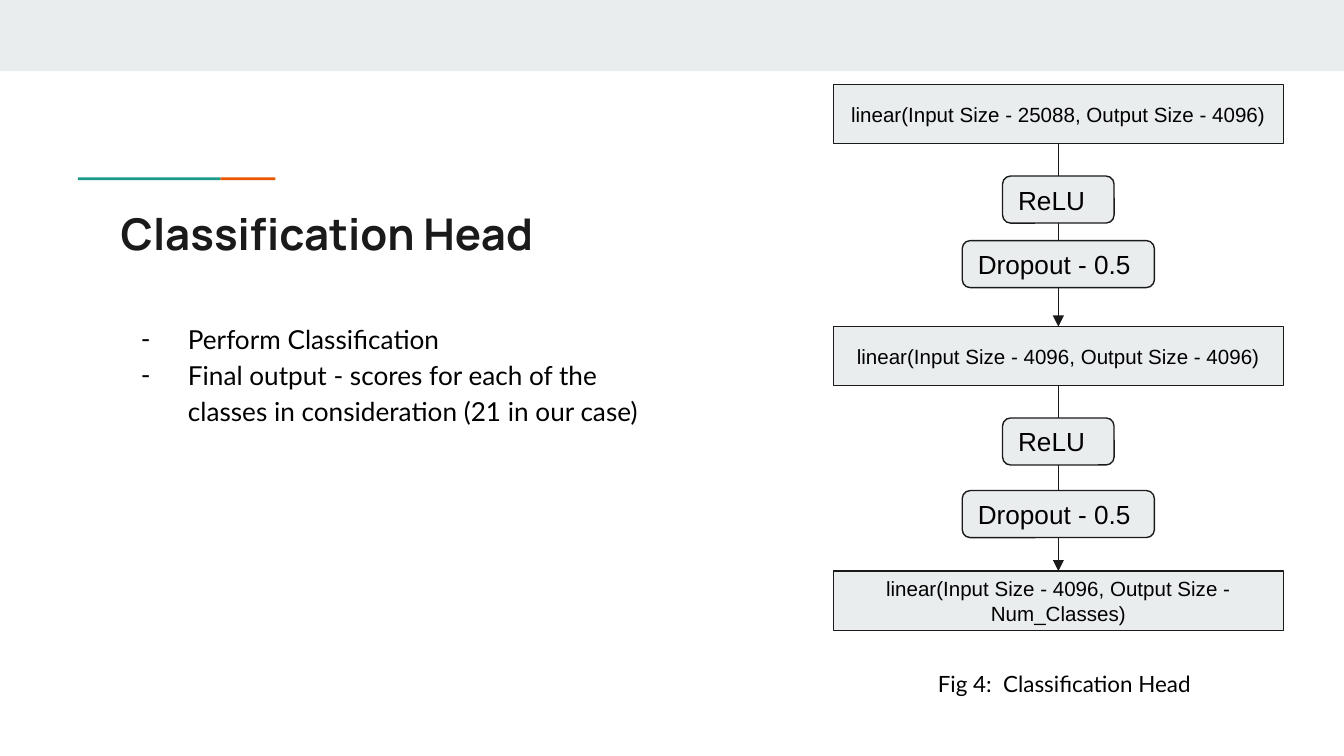
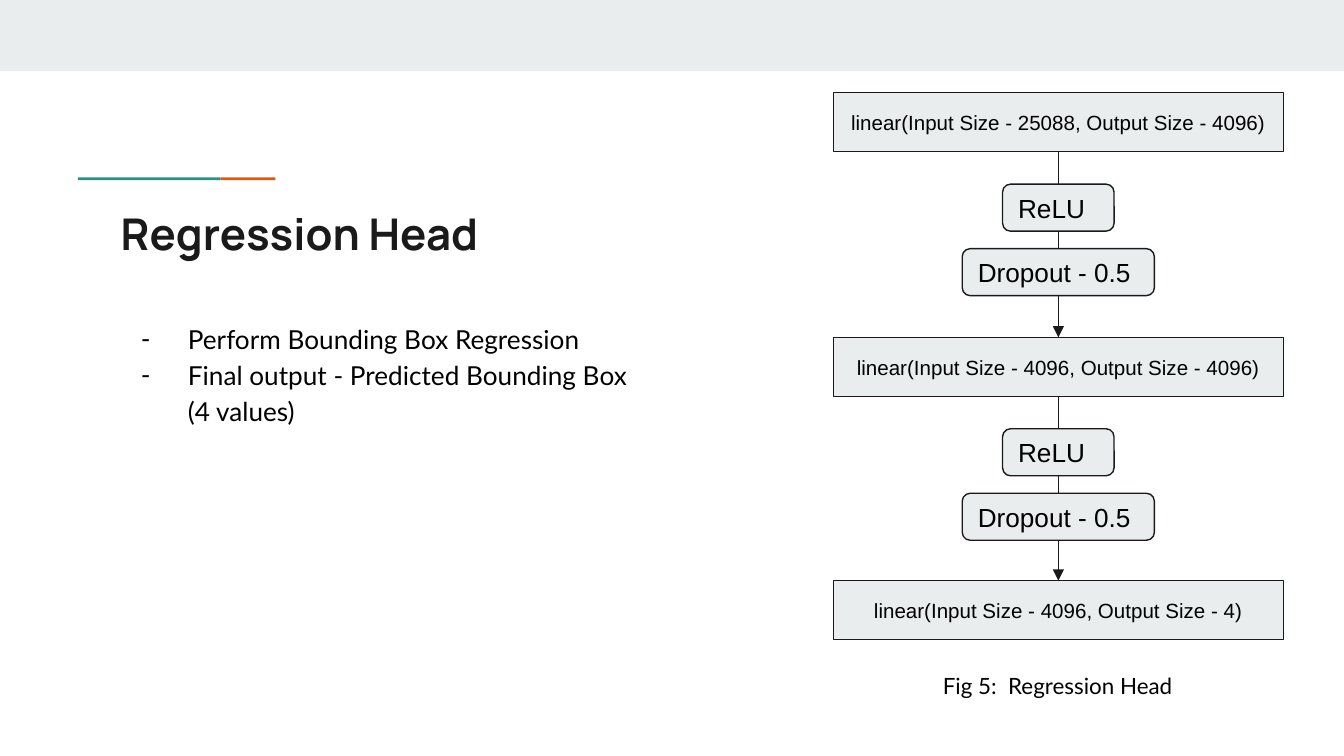
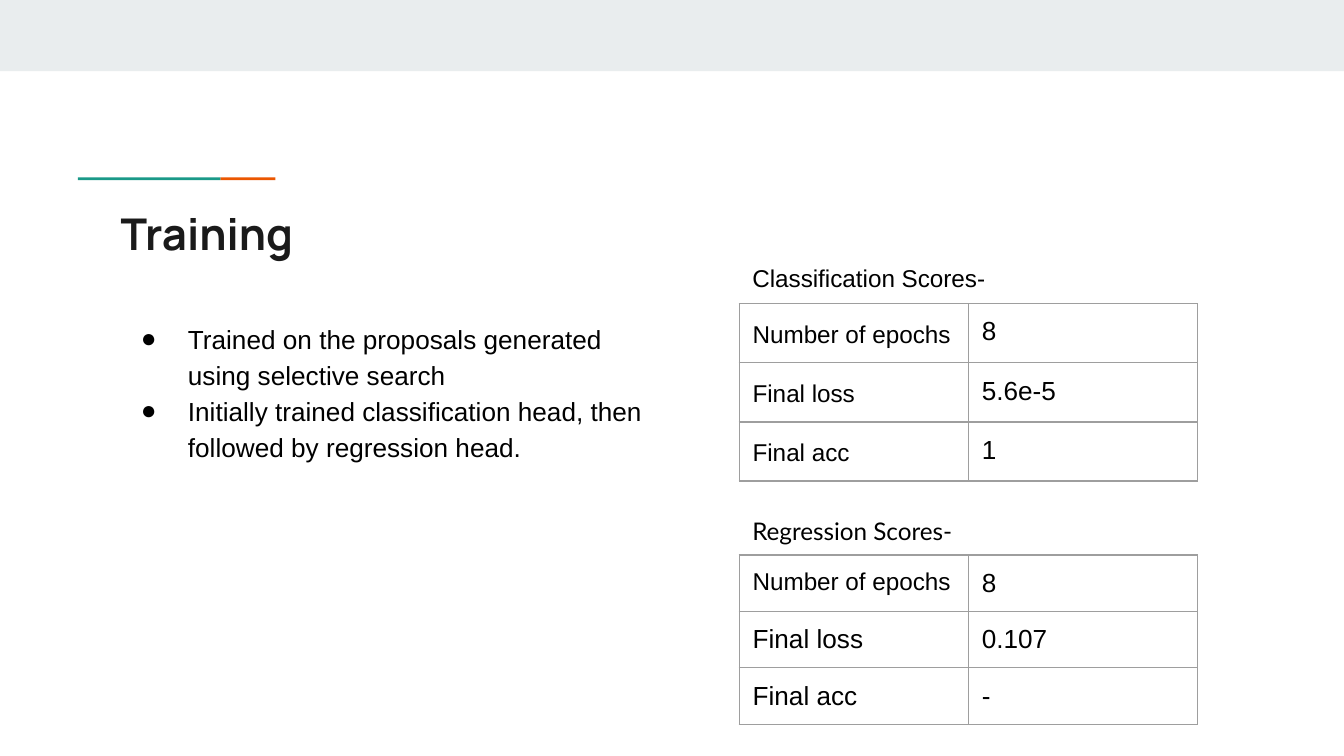
from lxml.etree import SubElement
from pptx import Presentation
from pptx.dml.color import RGBColor
from pptx.enum.shapes import MSO_CONNECTOR, MSO_SHAPE
from pptx.enum.text import MSO_ANCHOR, PP_ALIGN
from pptx.oxml.ns import qn
from pptx.util import Inches, Pt

COLORS = {
    "band": "E9EDEE",
    "teal": "1A9988",
    "orange": "EB5600",
    "ink": "1A1A1A",
    "text": "000000",
    "grid": "9E9E9E",
}


def rgb(name):
    """Return the named colour."""
    return RGBColor.from_string(COLORS[name])


def add_bullet(p, char, font):
    """Give a paragraph a hanging bullet."""
    pPr = p._p.get_or_add_pPr()
    pPr.set("marL", str(Inches(0.5)))
    pPr.set("indent", str(Inches(-0.35)))
    clr = SubElement(pPr, qn("a:buClr"))
    SubElement(clr, qn("a:srgbClr"), val=COLORS["text"])
    SubElement(pPr, qn("a:buFont"), typeface=font)
    SubElement(pPr, qn("a:buChar"), char=char)


def write(tf, *texts, size=14, font="Arial", color="text", bold=False,
          align=PP_ALIGN.LEFT, spacing=None, after=None, bullet=None):
    """Fill a text frame with one paragraph per text."""
    for i, text in enumerate(texts):
        p = tf.add_paragraph() if i else tf.paragraphs[0]
        p.alignment = align
        if spacing:
            p.line_spacing = spacing
        if after:
            p.space_after = Pt(after)
        if bullet:
            add_bullet(p, bullet, font)
        r = p.add_run()
        r.text = text
        r.font.size = Pt(size)
        r.font.name = font
        r.font.bold = bold
        r.font.color.rgb = rgb(color)


def set_margins(tf):
    """Wrap the text inside equal margins."""
    tf.word_wrap = True
    tf.margin_left = tf.margin_right = Inches(0.1)
    tf.margin_top = tf.margin_bottom = Inches(0.1)


def add_text(s, box, *texts, **fmt):
    """Add a text box."""
    tf = s.shapes.add_textbox(*map(Inches, box)).text_frame
    set_margins(tf)
    write(tf, *texts, **fmt)


def add_box(s, box, fill="band", line=None, kind=MSO_SHAPE.RECTANGLE):
    """Add a filled shape, outlined if a line colour is given."""
    sp = s.shapes.add_shape(kind, *map(Inches, box))
    sp.shadow.inherit = False
    sp.fill.solid()
    sp.fill.fore_color.rgb = rgb(fill)
    if line:
        sp.line.color.rgb = rgb(line)
        sp.line.width = Pt(0.75)
    else:
        sp.line.fill.background()
    return sp


def add_node(s, box, text, kind=MSO_SHAPE.RECTANGLE, **fmt):
    """Add a labelled box of a flow diagram."""
    sp = add_box(s, box, line="ink", kind=kind)
    if kind == MSO_SHAPE.ROUNDED_RECTANGLE:
        sp.adjustments[0] = 0.17
    tf = sp.text_frame
    set_margins(tf)
    tf.vertical_anchor = MSO_ANCHOR.MIDDLE
    write(tf, text, **fmt)
    return sp


def add_arrow(s, start, end):
    """Join the bottom of one node to the top of the next."""
    c = s.shapes.add_connector(MSO_CONNECTOR.STRAIGHT, 0, 0, 0, 0)
    c.begin_connect(start, 2)
    c.end_connect(end, 0)
    c.line.color.rgb = rgb("ink")
    c.line.width = Pt(0.75)
    SubElement(c.line._get_or_add_ln(), qn("a:tailEnd"), type="triangle")
    SubElement(c._element.spPr, qn("a:effectLst"))


def add_flow(s, layers, dropout_gaps):
    """Draw linear layers linked through ReLU and dropout."""
    nodes = [add_node(s, (6.2, top, 3.35, 0.44), f"linear({sizes})",
                      size=11, align=PP_ALIGN.CENTER)
             for sizes, top in layers]
    for i, gap in enumerate(dropout_gaps):
        top = layers[i][1]
        add_arrow(s, nodes[i], nodes[i + 1])
        pill = MSO_SHAPE.ROUNDED_RECTANGLE
        add_node(s, (7.46, top + 0.68, 0.83, 0.35), "ReLU", pill)
        add_node(s, (7.16, top + gap, 1.43, 0.35), "Dropout - 0.5", pill)


def add_borders(cell):
    """Draw thin grey lines round a table cell."""
    tcPr = cell._tc.get_or_add_tcPr()
    for side in ("L", "R", "T", "B"):
        ln = SubElement(tcPr, qn(f"a:ln{side}"), w=str(Pt(0.75)))
        fill = SubElement(ln, qn("a:solidFill"))
        SubElement(fill, qn("a:srgbClr"), val=COLORS["grid"])


def add_scores(s, top, row_height, scores, label_sizes, **label_fmt):
    """Add a table of score labels and values."""
    n = len(scores)
    frame = s.shapes.add_table(n, 2, Inches(5.5), Inches(top),
                               Inches(3.41), Inches(row_height * n))
    table = frame.table
    table.first_row = table.horz_banding = False
    for row, (label, value), size in zip(table.rows, scores, label_sizes):
        row.height = Inches(row_height)
        for cell in row.cells:
            cell.margin_left = cell.margin_right = Inches(0.1)
            cell.margin_top = Inches(0.1)
            cell.margin_bottom = Inches(0.08)
            add_borders(cell)
            cell.fill.background()
        write(row.cells[0].text_frame, label, size=size, **label_fmt)
        write(row.cells[1].text_frame, value)


def add_slide(prs, title, points, bullet, font):
    """Add a slide with the shared band, accent, title and points."""
    s = prs.slides.add_slide(prs.slide_layouts[6])
    add_box(s, (0, 0, 10, 0.53))
    add_box(s, (1.64, 1.32, 0.41, 0.02), fill="orange")
    add_box(s, (0.58, 1.32, 1.06, 0.02), fill="teal")
    add_text(s, (0.8, 1.44, 8.41, 0.59), title,
             size=23.4, font="Manrope", color="ink", bold=True)
    add_text(s, (0.8, 2.27, 4.13, 1.27), *points,
             font=font, spacing=1.15, bullet=bullet)
    return s


def add_head_slide(prs, title, points, layers, dropout_gaps, caption, at):
    """Add a slide that explains one network head."""
    s = add_slide(prs, title, points, "-", "Lato")
    add_flow(s, layers, dropout_gaps)
    add_text(s, (*at, 3.26, 0.4), caption,
             size=12, font="Lato", align=PP_ALIGN.CENTER)


def add_training_slide(prs):
    """Add the slide with the training scores."""
    s = add_slide(prs, "Training", [
        "Trained on the proposals generated using selective search",
        "Initially trained classification head, then followed by regression head.",
    ], "●", "Arial")
    loose = {"spacing": 1.15, "after": 12}
    add_text(s, (5.5, 3.71, 4.13, 0.59), "Regression Scores-",
             size=13, font="Lato", **loose)
    add_scores(s, 2.26, 0.44, [
        ("Number of epochs", "8"), ("Final loss", "5.6e-5"), ("Final acc", "1"),
    ], (13, 13, 13), **loose)
    add_scores(s, 4.13, 0.42, [
        ("Number of epochs", "8"), ("Final loss", "0.107"), ("Final acc", "-"),
    ], (13, 14, 14))
    add_text(s, (5.5, 1.83, 2.5, 0.42), "Classification Scores-",
             size=13, **loose)


def main():
    """Build the presentation."""
    prs = Presentation()
    prs.slide_width = Inches(10)
    prs.slide_height = Inches(10 * 9 / 16)
    first = "Input Size - 25088, Output Size - 4096"
    second = "Input Size - 4096, Output Size - 4096"
    add_head_slide(prs, "Classification Head", [
        "Perform Classification",
        "Final output - scores for each of the classes in consideration (21 in our case)",
    ], [
        (first, 0.63), (second, 2.43),
        ("Input Size - 4096, Output Size - Num_Classes", 4.25),
    ], (1.16, 1.22), "Fig 4:  Classification Head", (6.29, 4.89))
    add_head_slide(prs, "Regression Head", [
        "Perform Bounding Box Regression",
        "Final output - Predicted Bounding Box (4 values)",
    ], [
        (first, 0.69), (second, 2.51),
        ("Input Size - 4096, Output Size - 4", 4.32),
    ], (1.16, 1.16), "Fig 5:  Regression Head", (6.24, 4.9))
    add_training_slide(prs)
    prs.save("out.pptx")


if __name__ == "__main__":
    main()
